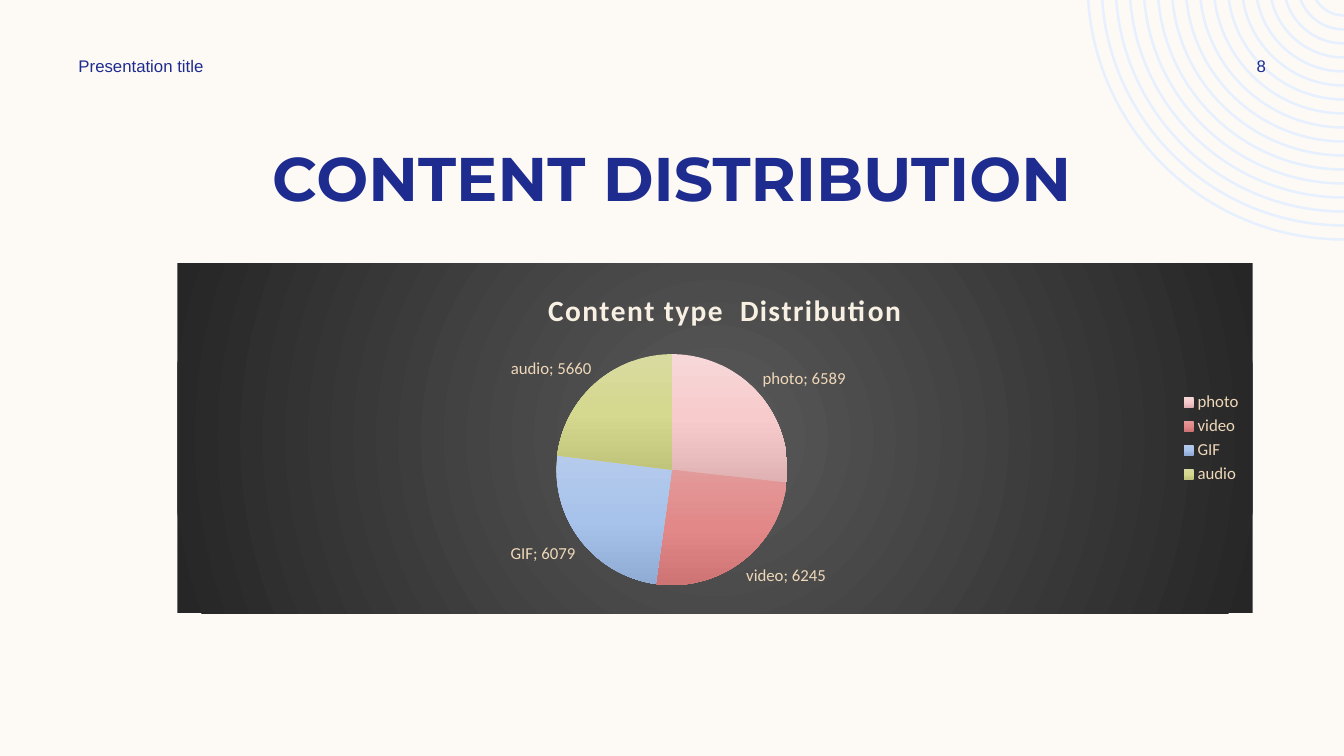
"""Build the content distribution slide with its pie chart."""
import math
from dataclasses import dataclass

import lxml.etree
import pptx
import pptx.chart.data
import pptx.dml.color
import pptx.enum.chart
import pptx.enum.text
import pptx.oxml
import pptx.oxml.ns
import pptx.util

Pt = pptx.util.Pt
ALIGN = pptx.enum.text.PP_ALIGN
CHART = pptx.enum.chart

COLORS = {
    "background": "FDFAF6",
    "rings": "E6F0FE",
    "navy": "1F2C8F",
    "chart_title": "F9F0E4",
    "chart_text": "EFD8B9",
    "panel_center": "595959",
    "panel_edge": "262626",
}
NAMESPACES = pptx.oxml.ns.nsdecls("a", "c")
SLIDE_WIDTH, SLIDE_HEIGHT = 960, 540
RING_CENTER_Y = -12
RING_RADII = range(24, 185, 10)
RING_THICKNESS = 1.8


@dataclass
class Label:
    text: str
    left: float
    top: float
    width: float
    height: float
    size: float
    font: str = "Arial"
    bold: bool = False
    align: ALIGN = ALIGN.LEFT


@dataclass
class Slice:
    name: str
    value: int
    gradient: tuple[str, str, str]


LABELS = [
    Label("CONTENT DISTRIBUTION", 60, 96, 840, 60, 44, "Montserrat", True, ALIGN.CENTER),
    Label("Presentation title", 49, 36, 252, 21.6, 12),
    Label("8", 862, 36, 78, 21.6, 12, align=ALIGN.CENTER),
]
SLICES = [
    Slice("photo", 6589, ("F7D7D8", "F7CBCC", "DFB1B2")),
    Slice("video", 6245, ("E39A9A", "E28888", "CE7474")),
    Slice("GIF", 6079, ("B6CBEC", "A7C2EB", "90ACD5")),
    Slice("audio", 5660, ("D8DB9F", "D5D88F", "C1C47B")),
]


def rgb(name: str) -> pptx.dml.color.RGBColor:
    return pptx.dml.color.RGBColor.from_string(COLORS[name])


def style_font(font, size: float, color: str, name: str, bold: bool = False) -> None:
    font.size = Pt(size)
    font.name = name
    font.bold = bold
    font.color.rgb = rgb(color)


def ring_arc(radius: float) -> list[tuple[int, int]]:
    """Return the four Bezier points of an arc from the top edge to the right edge."""
    start = math.asin(-RING_CENTER_Y / radius)
    handle = radius * 4 / 3 * math.tan((math.pi / 2 - start) / 4)
    left = SLIDE_WIDTH - radius * math.cos(start)
    bottom = RING_CENTER_Y + radius
    points = [
        (left, 0),
        (left + handle * math.sin(start), handle * math.cos(start)),
        (SLIDE_WIDTH - handle, bottom),
        (SLIDE_WIDTH, bottom),
    ]
    return [(Pt(x), Pt(y)) for x, y in points]


def curve_lines(lines) -> None:
    """Turn three consecutive line segments into one Bezier segment."""
    curve = lxml.etree.Element(pptx.oxml.ns.qn("a:cubicBezTo"))
    lines[0].addprevious(curve)
    for line in lines:
        curve.append(line[0])
        line.getparent().remove(line)


def add_rings(slide) -> None:
    bands = [ring_arc(radius) + ring_arc(radius - RING_THICKNESS)[::-1] for radius in RING_RADII]
    builder = slide.shapes.build_freeform(*bands[0][0])
    for index, band in enumerate(bands):
        if index:
            builder.move_to(*band[0])
        builder.add_line_segments(band[1:], close=True)
    shape = builder.convert_to_shape()
    lines = shape._element.xpath(".//a:path/a:lnTo")
    for first in range(0, len(lines), 7):
        curve_lines(lines[first:first + 3])
        curve_lines(lines[first + 4:first + 7])
    shape.shadow.inherit = False
    shape.fill.solid()
    shape.fill.fore_color.rgb = rgb("rings")
    shape.line.fill.background()


def add_label(slide, label: Label) -> None:
    box = slide.shapes.add_textbox(
        Pt(label.left), Pt(label.top), Pt(label.width), Pt(label.height)
    )
    frame = box.text_frame
    frame.word_wrap = True
    frame.vertical_anchor = pptx.enum.text.MSO_ANCHOR.MIDDLE
    paragraph = frame.paragraphs[0]
    paragraph.alignment = label.align
    run = paragraph.add_run()
    run.text = label.text
    style_font(run.font, label.size, "navy", label.font, label.bold)


def gradient_fill(colors: tuple[str, ...], direction: str):
    stops = "".join(
        f'<a:gs pos="{100000 * index // (len(colors) - 1)}"><a:srgbClr val="{color}"/></a:gs>'
        for index, color in enumerate(colors)
    )
    return pptx.oxml.parse_xml(
        f"<a:gradFill {NAMESPACES}><a:gsLst>{stops}</a:gsLst>{direction}</a:gradFill>"
    )


def place(parent, index: int, target: str = "", **fractions: float) -> None:
    for existing in parent.xpath("c:layout"):
        parent.remove(existing)
    values = "".join(f'<c:{key} val="{value}"/>' for key, value in fractions.items())
    parent.insert(index, pptx.oxml.parse_xml(
        f'<c:layout {NAMESPACES}><c:manualLayout>{target}<c:xMode val="edge"/>'
        f'<c:yMode val="edge"/>{values}</c:manualLayout></c:layout>'
    ))


def add_chart_title(chart) -> None:
    chart.has_title = True
    paragraph = chart.chart_title.text_frame.paragraphs[0]
    run = paragraph.add_run()
    run.text = "Content type  Distribution"
    style_font(run.font, 21, "chart_title", "Calibri", True)
    run._r.get_or_add_rPr().set("spc", "100")
    place(chart._chartSpace.xpath("c:chart/c:title")[0], 1, x=0.34, y=0.06)


def add_pie(slide) -> None:
    data = pptx.chart.data.CategoryChartData()
    data.categories = [part.name for part in SLICES]
    data.add_series("Series 1", [part.value for part in SLICES])
    chart = slide.shapes.add_chart(
        CHART.XL_CHART_TYPE.PIE, Pt(126.7), Pt(188), Pt(768), Pt(250), data
    ).chart
    style_font(chart.font, 12, "chart_text", "Calibri")
    add_chart_title(chart)

    chart.has_legend = True
    chart.legend.position = CHART.XL_LEGEND_POSITION.RIGHT
    chart.legend.include_in_layout = False

    plot = chart.plots[0]
    plot.vary_by_categories = True
    series = plot.series[0]
    for index, part in enumerate(SLICES):
        properties = series.points[index].format._element.get_or_add_spPr()
        properties.append(gradient_fill(part.gradient, '<a:lin ang="5400000" scaled="0"/>'))

    labels = series.data_labels
    labels.show_value = True
    labels.show_category_name = True
    labels.position = CHART.XL_LABEL_POSITION.OUTSIDE_END
    style_font(labels.font, 12, "chart_text", "Calibri")
    separator = pptx.oxml.parse_xml(f"<c:separator {NAMESPACES}>; </c:separator>")
    labels._element.xpath("c:showBubbleSize")[0].addnext(separator)

    plot_area = chart._chartSpace.xpath("c:chart/c:plotArea")[0]
    place(plot_area, 0, '<c:layoutTarget val="inner"/>', x=0.35, y=0.26, w=0.22, h=0.66)

    panel = pptx.oxml.parse_xml(f"<c:spPr {NAMESPACES}/>")
    panel.append(gradient_fill(
        (COLORS["panel_center"], COLORS["panel_edge"]),
        '<a:path path="circle"><a:fillToRect l="50000" t="50000" r="50000" b="50000"/></a:path>',
    ))
    chart._chartSpace.xpath("c:chart")[0].addnext(panel)


def main() -> None:
    presentation = pptx.Presentation()
    presentation.slide_width = Pt(SLIDE_WIDTH)
    presentation.slide_height = Pt(SLIDE_HEIGHT)
    slide = presentation.slides.add_slide(presentation.slide_layouts[6])
    slide.background.fill.solid()
    slide.background.fill.fore_color.rgb = rgb("background")
    add_rings(slide)
    for label in LABELS:
        add_label(slide, label)
    add_pie(slide)
    presentation.save("out.pptx")


if __name__ == "__main__":
    main()
